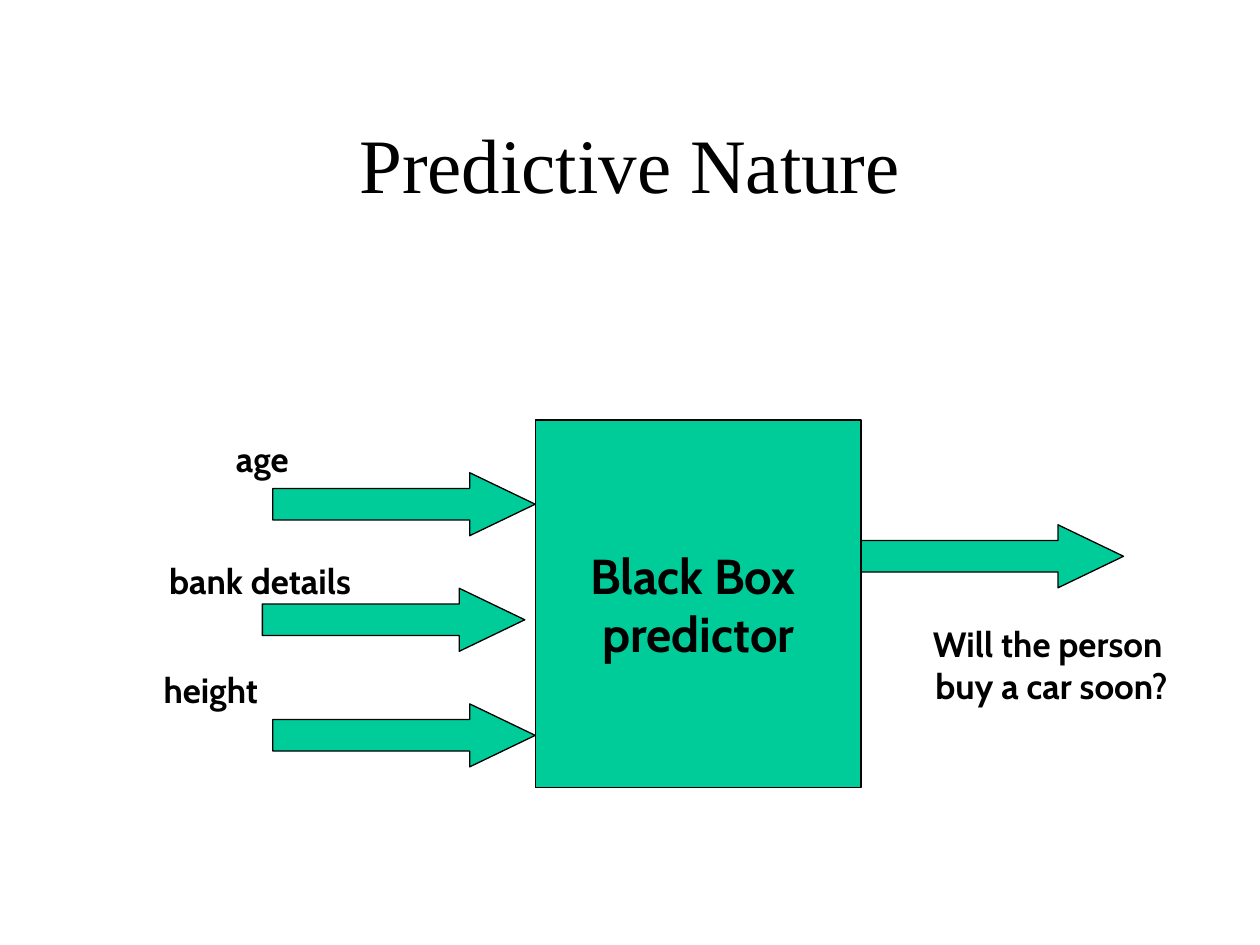
from pptx import Presentation
from pptx.dml.color import RGBColor
from pptx.enum import shapes, text
from pptx.util import Cm, Pt

COLORS = {"fill": "00CC99", "ink": "000000"}
INPUTS = [
    ("age", 1.57, 0.22, 1.8, 2.68),
    ("bank details", 0, 2.68, 4.85, 2.47),
    ("height", 0.02, 4.89, 2.82, 2.68),
]


def color(name):
    """Return the named colour."""
    return RGBColor.from_string(COLORS[name])


def write(shape, words, size, font="Cabin", bold=True, wrap=False):
    """Put centred text into a shape."""
    frame = shape.text_frame
    frame.text = words
    frame.word_wrap = wrap
    for para in frame.paragraphs:
        para.alignment = text.PP_ALIGN.CENTER
        for run in para.runs:
            run.font.name = font
            run.font.size = Pt(size)
            run.font.bold = bold
            run.font.color.rgb = color("ink")


def label(slide, words, x, y, w, h):
    """Add a text box that grows with its words."""
    box = slide.shapes.add_textbox(Cm(x), Cm(y), Cm(w), Cm(h))
    write(box, words, 20)
    box.text_frame.auto_size = text.MSO_AUTO_SIZE.SHAPE_TO_FIT_TEXT


def block(slide, kind, x, y, w, h):
    """Add a filled and outlined shape."""
    shape = slide.shapes.add_shape(kind, Cm(x), Cm(y), Cm(w), Cm(h))
    shape.shadow.inherit = False
    shape.fill.solid()
    shape.fill.fore_color.rgb = color("fill")
    shape.line.color.rgb = color("ink")
    shape.line.width = Pt(0.75)
    return shape


def arrow(slide, x, y):
    """Add a right arrow of the common size."""
    shape = block(slide, shapes.MSO_SHAPE.RIGHT_ARROW, x, y, 5.29, 1.27)
    shape.adjustments[0] = 0.5
    shape.adjustments[1] = 1.04


def title(slide, x, y, w, h):
    """Add the slide title."""
    box = slide.shapes.add_textbox(Cm(x), Cm(y), Cm(w), Cm(h))
    write(box, "Predictive Nature", 44, "Times New Roman", False, True)
    box.text_frame.vertical_anchor = text.MSO_ANCHOR.MIDDLE


def model(slide, x, y, w, h):
    """Add the black box."""
    box = block(slide, shapes.MSO_SHAPE.RECTANGLE, x, y, w, h)
    write(box, "Black Box \npredictor", 28)
    box.text_frame.vertical_anchor = text.MSO_ANCHOR.MIDDLE


def inputs(slide, x, y, step):
    """Add the labelled input arrows at equal steps."""
    for row, (words, left, top, wide, start) in enumerate(INPUTS):
        arrow(slide, x + start, y + 1.06 + row * step)
        label(slide, words, x + left, y + top, wide, 1.12)


def output(slide, x, y):
    """Add the output arrow and its question."""
    arrow(slide, x, y)
    label(slide, "Will the person \nbuy a car soon?", x + 0.83, y + 1.84, 6.02, 1.96)


def main():
    """Build and save the slide."""
    deck = Presentation()
    deck.slide_width, deck.slide_height = Cm(25.4), Cm(19.05)
    slide = deck.slides.add_slide(deck.slide_layouts[6])
    title(slide, 1.9, 1.7, 21.6, 3.18)
    model(slide, 10.8, 8.47, 6.56, 7.41)
    inputs(slide, 2.82, 8.47, 2.33)
    output(slide, 17.36, 10.58)
    deck.save("out.pptx")


if __name__ == "__main__":
    main()
